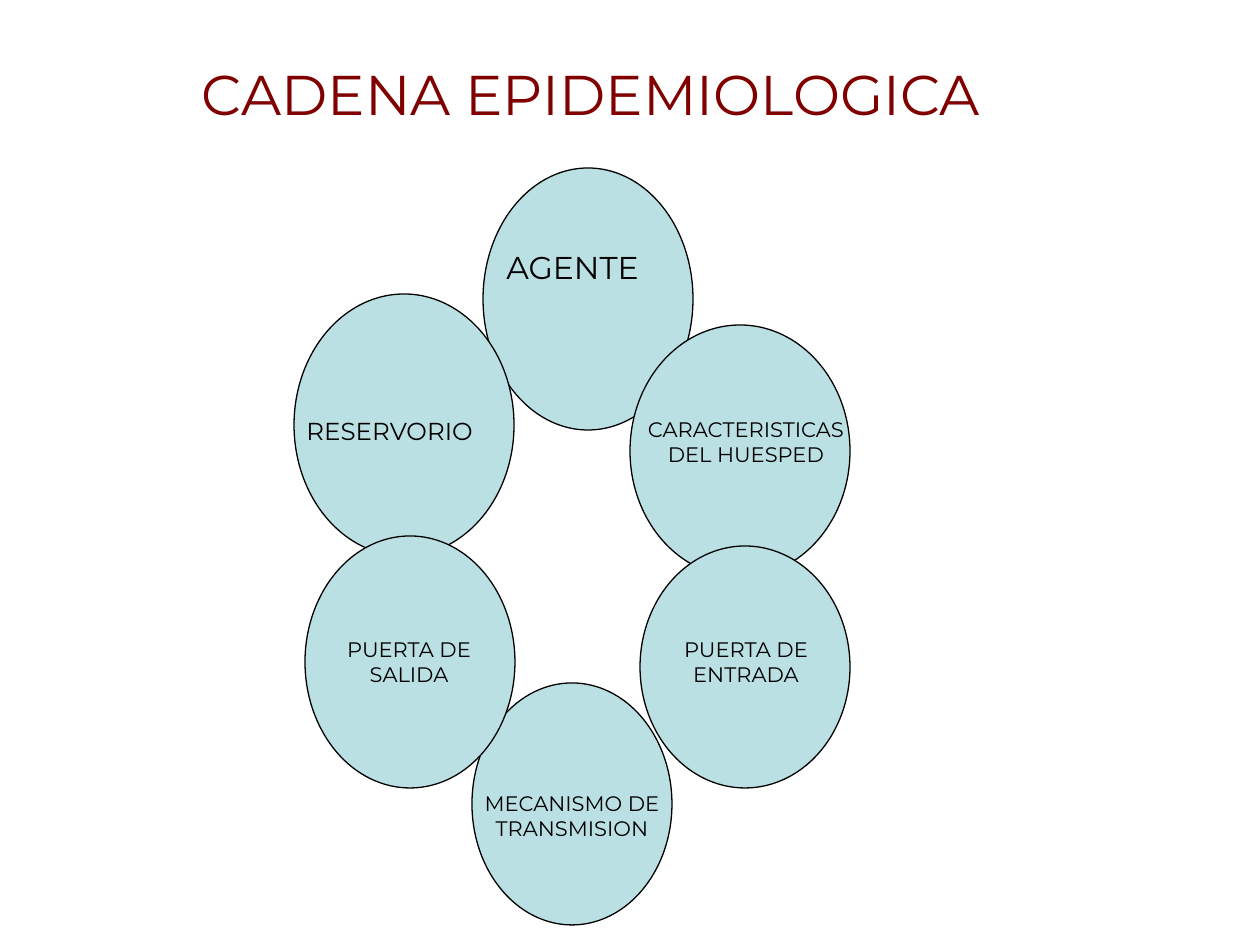
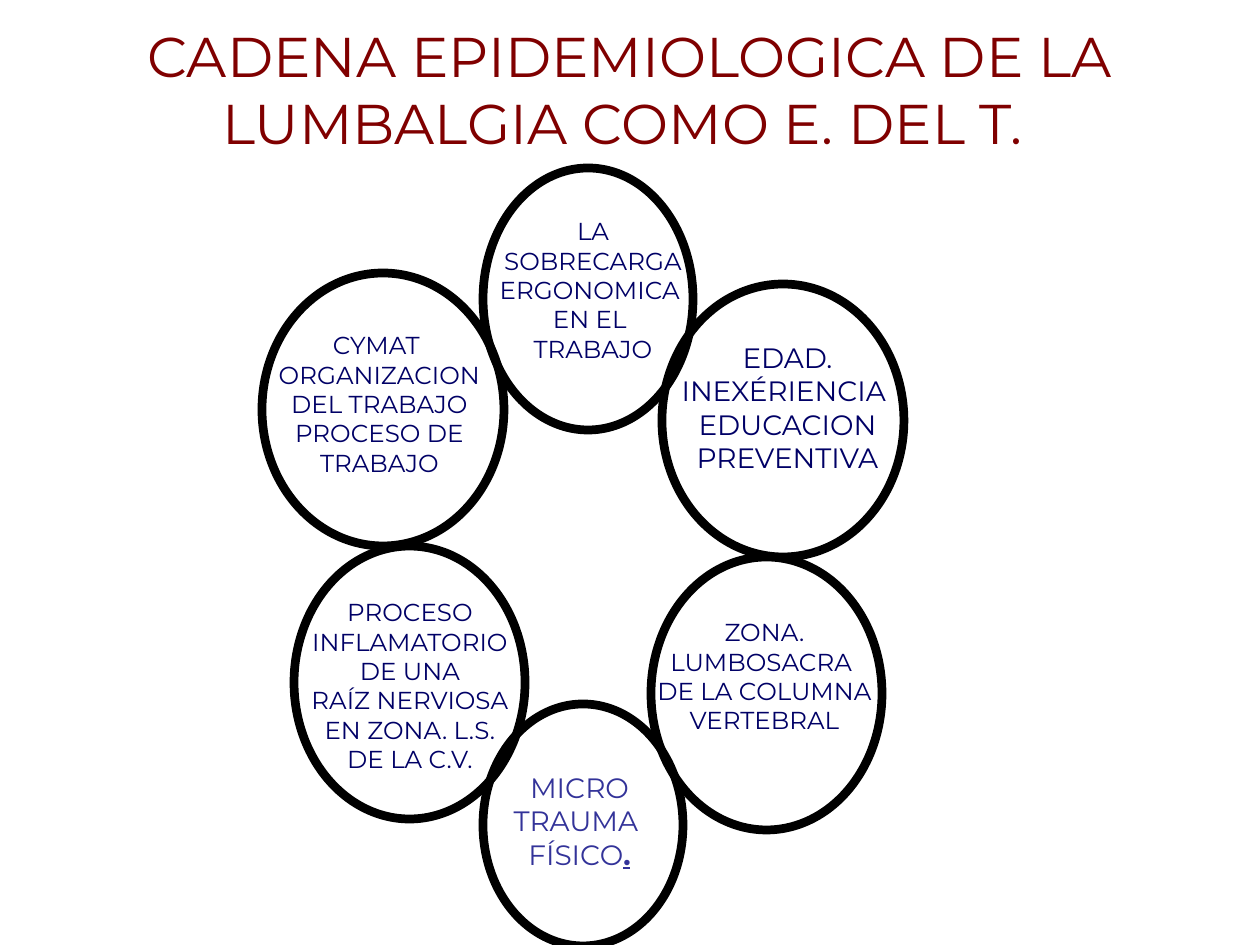
import dataclasses

import pptx
import pptx.dml.color
import pptx.enum.shapes
import pptx.enum.text
import pptx.util

SCALE = 914400 / 126
ALIGN = pptx.enum.text.PP_ALIGN
FIT = pptx.enum.text.MSO_AUTO_SIZE


@dataclasses.dataclass(frozen=True)
class Theme:
    """Colours, type sizes and line widths of the deck."""
    font: str = "Montserrat"
    title: str = "800000"
    ink: str = "000000"
    fill: str = "BBE0E3"
    navy: str = "000066"
    blue: str = "333399"
    head: int = 32
    large: int = 18
    mid: int = 16
    body: int = 14
    small: int = 12
    thin: float = 0.75
    thick: float = 5
    lead: float = 0.625


THEME = Theme()


def px(count):
    """Turn pixels into EMU."""
    return pptx.util.Emu(round(count * SCALE))


def rgb(code):
    """Turn a hex code into a colour."""
    return pptx.dml.color.RGBColor.from_string(code)


def add_run(para, text, size, color, strong=False):
    """Add one run of styled text to a paragraph."""
    run = para.add_run()
    run.text = text
    font = run.font
    font.name = THEME.font
    font.size = pptx.util.Pt(size)
    font.color.rgb = rgb(color)
    if strong:
        font.bold = font.underline = True


def add_slide(deck, title, box):
    """Add a slide and set its title."""
    slide = deck.slides.add_slide(deck.slide_layouts[5])
    shape = slide.shapes.title
    shape.left, shape.top, shape.width, shape.height = map(px, box)
    frame = shape.text_frame
    frame.word_wrap = True
    frame.auto_size = FIT.NONE
    frame.vertical_anchor = pptx.enum.text.MSO_ANCHOR.MIDDLE
    para = frame.paragraphs[0]
    para.alignment = ALIGN.CENTER
    add_run(para, title, THEME.head, THEME.title)
    return slide


def add_link(slide, box, width, fill=None):
    """Draw one oval link of the chain."""
    oval = slide.shapes.add_shape(
        pptx.enum.shapes.MSO_SHAPE.OVAL, *map(px, box))
    oval.shadow.inherit = False
    if fill:
        oval.fill.solid()
        oval.fill.fore_color.rgb = rgb(fill)
    else:
        oval.fill.background()
    oval.line.color.rgb = rgb(THEME.ink)
    oval.line.width = pptx.util.Pt(width)


def add_label(slide, box, lines, size, color,
              align=ALIGN.CENTER, lead=0, wrap=True):
    """Write a label and return its last paragraph."""
    frame = slide.shapes.add_textbox(*map(px, box)).text_frame
    frame.word_wrap = wrap
    frame.auto_size = FIT.SHAPE_TO_FIT_TEXT
    for index, line in enumerate(lines):
        para = frame.add_paragraph() if index else frame.paragraphs[0]
        para.alignment = align
        if lead:
            para.space_before = pptx.util.Pt(size * lead)
        add_run(para, line, size, color)
    return para


def build_chain(deck):
    """Build the general chain."""
    slide = add_slide(deck, "CADENA EPIDEMIOLOGICA ", (84, 38, 1029, 110))
    links = [
        (483, 168, 210, 262), (630, 325, 220, 252), (640, 546, 210, 242),
        (472, 683, 200, 242), (294, 294, 220, 262), (305, 536, 210, 252),
    ]
    for box in links:
        add_link(slide, box, THEME.thin, THEME.fill)
    labels = [
        ((494, 242, 179, 50), "AGENTE", THEME.large, ALIGN.LEFT),
        ((620, 410, 252, 63), "CARACTERISTICAS DEL HUESPED",
         THEME.small, ALIGN.CENTER),
        ((662, 630, 168, 63), "PUERTA DE ENTRADA",
         THEME.small, ALIGN.CENTER),
        ((472, 784, 200, 88), "MECANISMO DE TRANSMISION",
         THEME.small, ALIGN.CENTER),
        ((325, 630, 168, 63), "PUERTA DE SALIDA",
         THEME.small, ALIGN.CENTER),
        ((294, 410, 220, 43), "RESERVORIO", THEME.body, ALIGN.LEFT),
    ]
    for box, text, size, align in labels:
        add_label(slide, box, [text], size, THEME.ink, align, THEME.lead)


def build_case(deck):
    """Build the chain for low back pain."""
    slide = add_slide(
        deck, "CADENA EPIDEMIOLOGICA DE LA LUMBALGIA COMO E. DEL T. ",
        (63, 10, 1134, 158))
    links = [
        (483, 168, 210, 262), (651, 557, 231, 273), (483, 704, 200, 242),
        (262, 273, 242, 273), (662, 284, 242, 273), (294, 546, 231, 273),
    ]
    for box in links:
        add_link(slide, box, THEME.thick)
    labels = [
        ((483, 210, 220, 160), THEME.body,
         ["LA SOBRECARGA", "ERGONOMICA ", "EN EL ", "TRABAJO"]),
        ((252, 324, 255, 160), THEME.body,
         ["CYMAT ", "ORGANIZACION DEL TRABAJO", "PROCESO DE TRABAJO"]),
        ((627, 611, 275, 130), THEME.body,
         ["ZONA. LUMBOSACRA ", "DE LA COLUMNA VERTEBRAL"]),
        ((651, 334, 273, 147), THEME.mid,
         ["EDAD. INEXÉRIENCIA ", "EDUCACION PREVENTIVA"]),
        ((284, 591, 252, 189), THEME.body,
         ["PROCESO", "INFLAMATORIO", "DE UNA", "RAÍZ NERVIOSA",
          "EN ZONA. L.S.", "DE LA C.V."]),
    ]
    for box, size, lines in labels:
        add_label(slide, box, lines, size, THEME.navy)
    last = add_label(slide, (495, 764, 169, 113),
                     ["MICRO", "TRAUMA ", "FÍSICO"],
                     THEME.mid, THEME.blue, wrap=False)
    add_run(last, ".", THEME.mid, THEME.blue, strong=True)


def main():
    """Build and save the deck."""
    deck = pptx.Presentation()
    deck.slide_width = px(1260)
    deck.slide_height = px(945)
    build_chain(deck)
    build_case(deck)
    deck.save("out.pptx")


if __name__ == "__main__":
    main()
